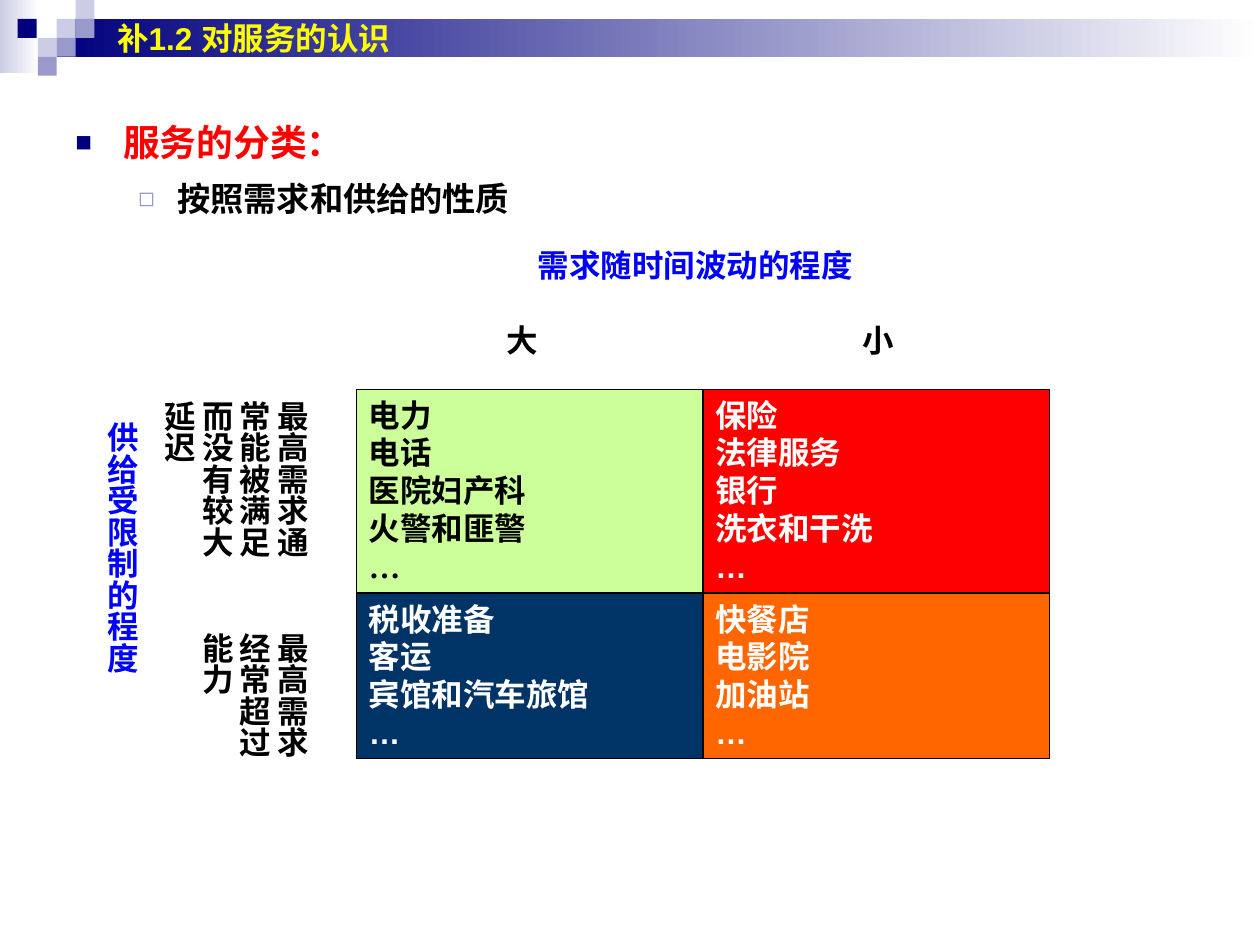
from lxml.etree import SubElement
from pptx import Presentation
from pptx.dml.color import RGBColor
from pptx.enum.shapes import MSO_SHAPE
from pptx.enum.text import MSO_ANCHOR, MSO_AUTO_SIZE, PP_ALIGN
from pptx.oxml.ns import qn
from pptx.util import Inches, Pt


def write(frame, lines, colour, wrap=True, size=18):
    """Fill a text frame with bold, left-aligned lines."""
    settings = {"word_wrap": wrap, "vertical_anchor": MSO_ANCHOR.TOP,
                "auto_size": MSO_AUTO_SIZE.NONE}
    for key, value in settings.items():
        setattr(frame, key, value)
    frame.text = "\n".join(lines)
    for paragraph in frame.paragraphs:
        paragraph.alignment = PP_ALIGN.LEFT
        font = paragraph.runs[0].font
        for key, value in {"name": "Arial", "size": Pt(size), "bold": True}.items():
            setattr(font, key, value)
        font.color.rgb = RGBColor.from_string(colour)


def add_block(left, top, width, height, *colours):
    """Add a borderless rectangle; two colours make a left-to-right gradient."""
    block = slide.shapes.add_shape(
        MSO_SHAPE.RECTANGLE, Inches(left), Inches(top), Inches(width), Inches(height))
    block.shadow.inherit = False
    block.line.fill.background()
    if len(colours) == 1:
        block.fill.solid()
        block.fill.fore_color.rgb = RGBColor.from_string(colours[0])
    else:
        block.fill.gradient()
        block.fill.gradient_angle = 0
        for stop, colour in zip(block.fill.gradient_stops, colours):
            stop.color.rgb = RGBColor.from_string(colour)
    return block


NAVY, LILAC, PALE = "00007D", "9999CC", "CCCCE6"
BLACK, WHITE, BLUE, RED = "000000", "FFFFFF", "0000FF", "FF0000"

prs = Presentation()
prs.slide_width, prs.slide_height = Inches(10), Inches(7.5)
slide = prs.slides.add_slide(prs.slide_layouts[5])

# Header band with its mosaic of squares
add_block(0, 0, 0.31, 0.58, PALE, WHITE)
add_block(0.45, 0.15, 9.55, 0.3, NAVY, WHITE)
square = 0.15
for left, top, colour in [
    (0.45, 0.15, PALE), (0.6, 0, PALE), (0.6, 0.15, LILAC), (0.3, 0.3, PALE),
    (0.14, 0.15, NAVY), (0.45, 0.3, LILAC), (0.3, 0.45, LILAC),
]:
    add_block(left, top, square, square, colour)

# Title, brought in front of the band
title = slide.shapes.title
title.left, title.top, title.width, title.height = map(Inches, (0.83, 0.1, 2.5, 0.4))
write(title.text_frame, ["补1.2 对服务的认识"], "FFFF00")
band_parent = title.element.getparent()
band_parent.append(title.element)

# Bulleted topic and subtopic
topics = slide.shapes.add_textbox(Inches(0.5), Inches(0.83), Inches(9), Inches(0.58))
write(topics.text_frame, ["服务的分类：", "按照需求和供给的性质"], BLACK)
bullets = [
    (21, RED, 0.38, 0.38, "■", NAVY, 75),
    (19, BLACK, 0.81, 0.31, "◻", LILAC, 80),
]
for level, (paragraph, bullet) in enumerate(zip(topics.text_frame.paragraphs, bullets)):
    size, colour, margin, hanging, mark, mark_colour, mark_percent = bullet
    spacing = {"level": level, "line_spacing": 1.2, "space_before": Pt(size * 0.2)}
    for key, value in spacing.items():
        setattr(paragraph, key, value)
    font = paragraph.runs[0].font
    font.size = Pt(size)
    font.color.rgb = RGBColor.from_string(colour)
    properties = paragraph._p.get_or_add_pPr()
    properties.set("marL", str(Inches(margin)))
    properties.set("indent", str(-Inches(hanging)))
    bullet_colour = SubElement(properties, qn("a:buClr"))
    SubElement(bullet_colour, qn("a:srgbClr"), val=mark_colour)
    SubElement(properties, qn("a:buSzPct"), val=str(mark_percent * 1000))
    SubElement(properties, qn("a:buFont"), typeface="Arial")
    SubElement(properties, qn("a:buChar"), char=mark)

# Matrix of service types: demand fluctuation across, supply limits down
matrix_left, matrix_top, column_width = 2.83, 3.09, 2.75
matrix = [
    (1.61, [
        ("CCFF99", BLACK, ["电力", "电话", "医院妇产科", "火警和匪警", "…"]),
        (RED, WHITE, ["保险", "法律服务", "银行", "洗衣和干洗", "…"]),
    ]),
    (1.31, [
        ("003366", WHITE, ["税收准备", "客运", "宾馆和汽车旅馆", "…"]),
        ("FF6600", WHITE, ["快餐店", "电影院", "加油站", "…"]),
    ]),
]
row_top = matrix_top
quadrants = []
for row_height, row in matrix:
    for column, (fill, colour, services) in enumerate(row):
        quadrant = add_block(matrix_left + column * column_width, row_top,
                             column_width, row_height, fill)
        quadrant.line.color.rgb = RGBColor.from_string(BLACK)
        quadrant.line.width = Pt(0.75)
        write(quadrant.text_frame, services, colour)
        quadrants.append(quadrant)
    row_top += row_height + 0.01
for paragraph in quadrants[0].text_frame.paragraphs[-2:]:
    paragraph.runs[0].font.name = "Times New Roman"

# Axis titles and row and column headings
for text, left, top, width, height, colour, vertical in [
    ("最高需求通常能被满足而没有较大延迟", 1.42, 3.08, 1.1, 1.67, BLACK, True),
    ("最高需求经常超过能力", 1.42, 4.92, 1.1, 1.26, BLACK, True),
    ("大", 3.92, 2.5, 0.45, 0.4, BLACK, False),
    ("小", 6.75, 2.5, 0.45, 0.4, BLACK, False),
    ("供给受限制的程度", 0.67, 3.25, 0.5, 3.18, BLUE, True),
    ("需求随时间波动的程度", 4.17, 1.9, 2.72, 0.4, BLUE, False),
]:
    heading = slide.shapes.add_textbox(
        Inches(left), Inches(top), Inches(width), Inches(height))
    write(heading.text_frame, [text], colour, wrap=vertical)
    if vertical:
        heading.text_frame._txBody.bodyPr.set("vert", "eaVert")

prs.save("out.pptx")
